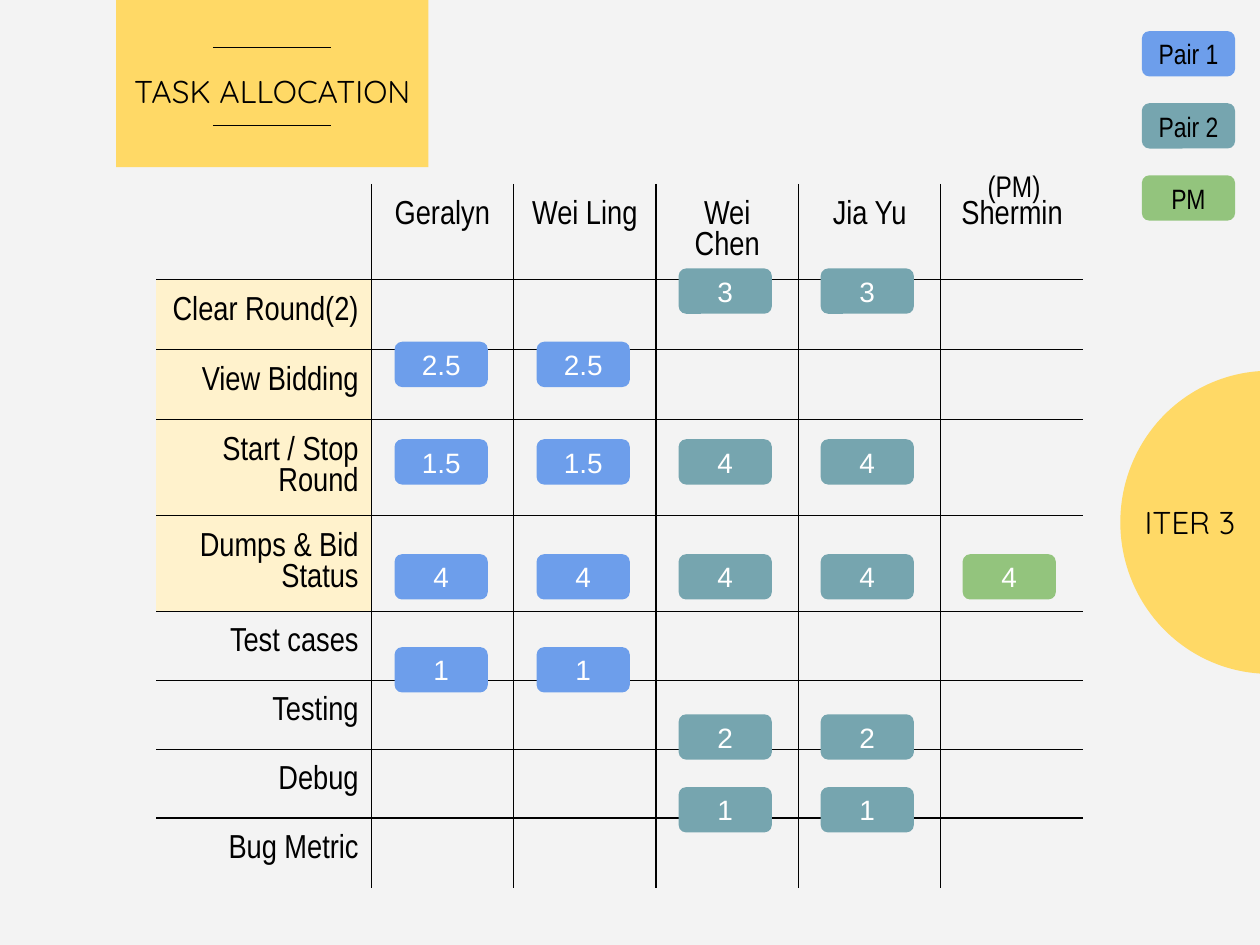
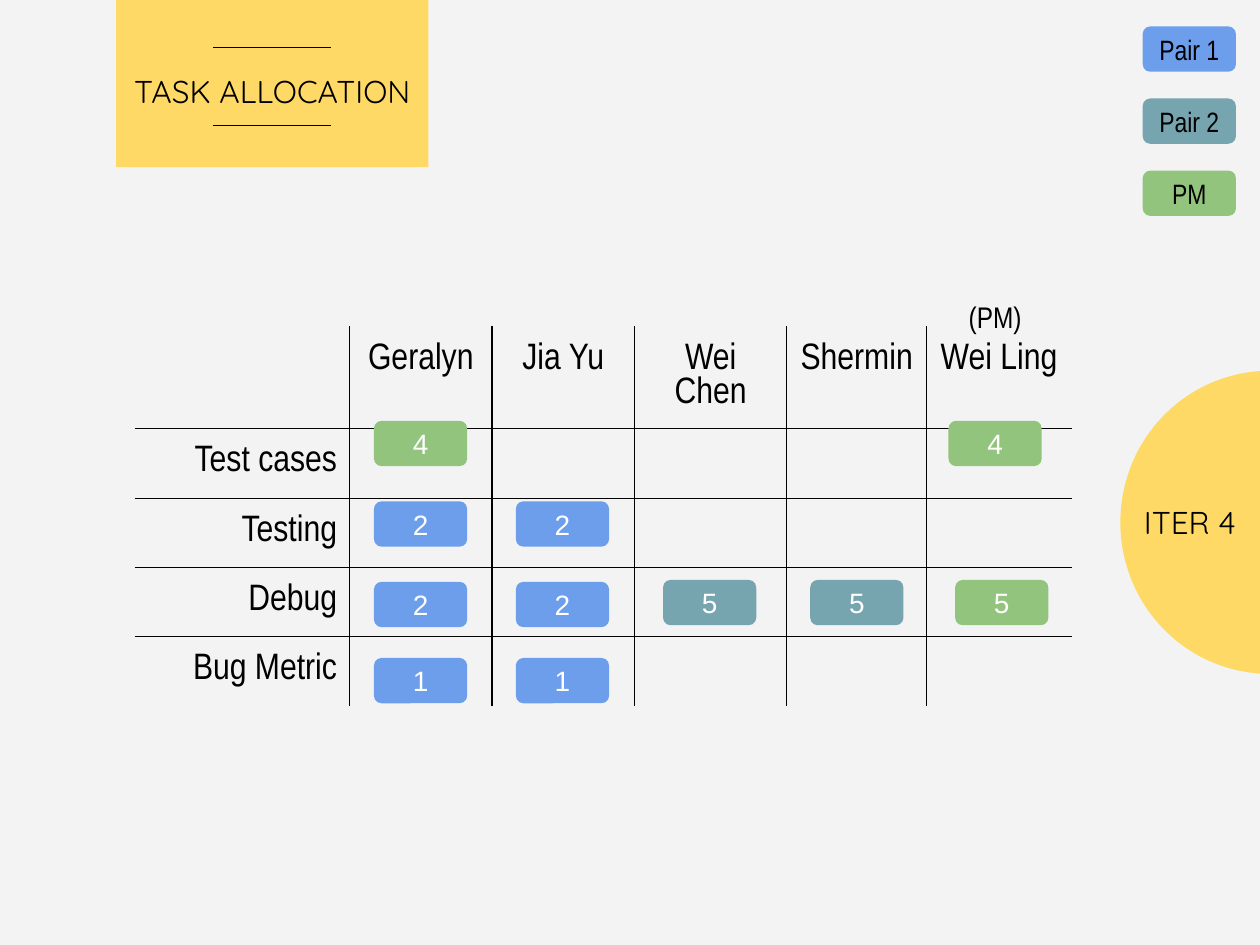
import pptx
import pptx.util
import pptx.dml.color
import pptx.enum.shapes
import pptx.enum.text
import lxml.etree

Pt = pptx.util.Pt
SHAPE = pptx.enum.shapes.MSO_SHAPE
ALIGN = pptx.enum.text.PP_ALIGN
ANCHOR = pptx.enum.text.MSO_ANCHOR
NS = "http://schemas.openxmlformats.org/drawingml/2006/main"

BLACK, WHITE, GREY = "000000", "FFFFFF", "F3F3F3"
GOLD, CREAM = "FFD966", "FFF2CC"
BLUE, TEAL, GREEN = "6D9EEB", "76A5AF", "93C47D"
NARROW, SANS, TITLE = "Arial Narrow", "Arial", "Quicksand"
CHIP = (53.3, 25.9)


def hue(code):
    return pptx.dml.color.RGBColor.from_string(code)


def write(host, para, text, size, font, tint=BLACK, align=ALIGN.CENTER, anchor=ANCHOR.MIDDLE, pad=7.2):
    host.margin_left = host.margin_right = Pt(7.2)
    host.margin_top = host.margin_bottom = Pt(pad)
    host.vertical_anchor = anchor
    para.alignment = align
    run = para.add_run()
    run.text = text
    run.font.size = Pt(size)
    run.font.name = font
    run.font.color.rgb = hue(tint)


plans = [
    {
        "iter": "ITER 3", "at": (89.3, 105.1), "size": 19, "key": (652.5, 17.8), "pm": (557.3, 88.6),
        "names": ["Geralyn", "Wei Ling", "Wei Chen", "Jia Yu", "Shermin"],
        "tasks": ["Clear Round(2)", "View Bidding", "Start / Stop Round", "Dumps & Bid Status",
                  "Test cases", "Testing", "Debug", "Bug Metric"],
        "cream": 4,
        "cols": [122.8] + [81.4] * 5,
        "rows": [54.7, 40.1, 40.1, 54.7, 54.7, 39.4, 39.4, 39.4, 40],
        "left": [225.5 + 81.15 * n for n in range(5)],
        "chips": [
            (153.4, "3", TEAL, (2, 3)),
            (195.3, "2.5", BLUE, (0, 1)),
            (251, "1.5", BLUE, (0, 1)),
            (251, "4", TEAL, (2, 3)),
            (316.7, "4", BLUE, (0, 1)),
            (316.7, "4", TEAL, (2, 3)),
            (316.7, "4", GREEN, (4,)),
            (369.8, "1", BLUE, (0, 1)),
            (408.2, "2", TEAL, (2, 3)),
            (449.8, "1", TEAL, (2, 3)),
        ],
    },
    {
        "iter": "ITER 4", "at": (77, 186.5), "size": 21, "key": (653, 15.1), "pm": (546.5, 163.4),
        "names": ["Geralyn", "Jia Yu", "Wei Chen", "Shermin", "Wei Ling"],
        "tasks": ["Test cases", "Testing", "Debug", "Bug Metric"],
        "cream": 0,
        "cols": [122.8, 81.4, 81.4, 87.1, 79.9, 82.8],
        "rows": [58.3, 40, 39.4, 39.4, 40],
        "left": [213.7, 294.8, 378.9, 463, 545.8, 542],
        "chips": [
            (240.5, "4", GREEN, (0, 5)),
            (286.5, "2", BLUE, (0, 1)),
            (332.5, "2", BLUE, (0, 1)),
            (331.4, "5", TEAL, (2, 3)),
            (331.4, "5", GREEN, (4,)),
            (376, "1", BLUE, (0, 1)),
        ],
    },
]

deck = pptx.Presentation()
deck.slide_width, deck.slide_height = Pt(720), Pt(540)

for plan in plans:
    slide = deck.slides.add_slide(deck.slide_layouts[6])
    slide.background.fill.solid()
    slide.background.fill.fore_color.rgb = hue(GREY)
    shapes = slide.shapes

    keyx, keyy = plan["key"]
    boxes = [
        (SHAPE.OVAL, 640.2, 211.9, 170.6, 173.2, GOLD, None),
        (SHAPE.RECTANGLE, 66.4, -150, 178.4, 245.5, GOLD, None),
    ]
    for top, mark, tint, spots in plan["chips"]:
        for spot in spots:
            boxes.append((SHAPE.ROUNDED_RECTANGLE, plan["left"][spot], top, *CHIP, tint, (mark, SANS, WHITE)))
    for n, (mark, tint) in enumerate([("Pair 1", BLUE), ("Pair 2", TEAL), ("PM", GREEN)]):
        boxes.append((SHAPE.ROUNDED_RECTANGLE, keyx, keyy + 41.2 * n, *CHIP, tint, (mark, NARROW, BLACK)))

    wide, high = sum(plan["cols"]), sum(plan["rows"])
    count, span = len(plan["rows"]), len(plan["cols"])
    grid = shapes.add_table(count, span, *map(Pt, plan["at"]), Pt(wide), Pt(high)).table
    grid.first_row = grid.horz_banding = False
    for col, size in zip(grid.columns, plan["cols"]):
        col.width = Pt(size)
    for row, size in zip(grid.rows, plan["rows"]):
        row.height = Pt(size)
    for r in range(count):
        for c in range(span):
            cell = grid.cell(r, c)
            if r == 0 and c > 0:
                text, align = plan["names"][c - 1], ALIGN.CENTER
            elif c == 0 and r > 0:
                text, align = plan["tasks"][r - 1], ALIGN.RIGHT
            else:
                text = ""
            if text:
                write(cell, cell.text_frame.paragraphs[0], text, plan["size"], NARROW,
                      align=align, anchor=ANCHOR.TOP, pad=9.4)
            props = cell._tc.get_or_add_tcPr()
            sides = {"lnL": c > 0, "lnR": c < span - 1, "lnT": r > 0, "lnB": r < count - 1}
            for side, drawn in sides.items():
                edge = lxml.etree.SubElement(props, f"{{{NS}}}{side}", w=str(Pt(0.75)))
                if drawn:
                    fill = lxml.etree.SubElement(edge, f"{{{NS}}}solidFill")
                    lxml.etree.SubElement(fill, f"{{{NS}}}srgbClr", val=BLACK)
                else:
                    lxml.etree.SubElement(edge, f"{{{NS}}}noFill")
            if c == 0 and 0 < r <= plan["cream"]:
                cell.fill.solid()
                cell.fill.fore_color.rgb = hue(CREAM)
            else:
                cell.fill.background()

    for kind, x, y, w, h, tint, label in boxes:
        box = shapes.add_shape(kind, Pt(x), Pt(y), Pt(w), Pt(h))
        box.shadow.inherit = False
        box.fill.solid()
        box.fill.fore_color.rgb = hue(tint)
        box.line.fill.background()
        if label:
            mark, font, ink = label
            write(box.text_frame, box.text_frame.paragraphs[0], mark, 16, font, ink)

    for y in (27, 71.7):
        rule = shapes.add_connector(pptx.enum.shapes.MSO_CONNECTOR.STRAIGHT, Pt(121.7), Pt(y), Pt(189.2), Pt(y))
        rule.line.color.rgb = hue(BLACK)
        rule.line.width = Pt(0.75)
        lxml.etree.SubElement(rule._element.spPr, f"{{{NS}}}effectLst")

    for x, y, w, h, text, size, font, align, anchor in [
        (*plan["pm"], *CHIP, "(PM)", 17, NARROW, ALIGN.LEFT, ANCHOR.TOP),
        (634.3, 157.7, 91.4, 281.5, plan["iter"], 18, TITLE, ALIGN.CENTER, ANCHOR.MIDDLE),
        (66.4, 28.8, 178.4, 41, "TASK ALLOCATION", 18, TITLE, ALIGN.CENTER, ANCHOR.BOTTOM),
    ]:
        frame = shapes.add_textbox(Pt(x), Pt(y), Pt(w), Pt(h)).text_frame
        frame.word_wrap = True
        write(frame, frame.paragraphs[0], text, size, font, align=align, anchor=anchor)

deck.save("out.pptx")
